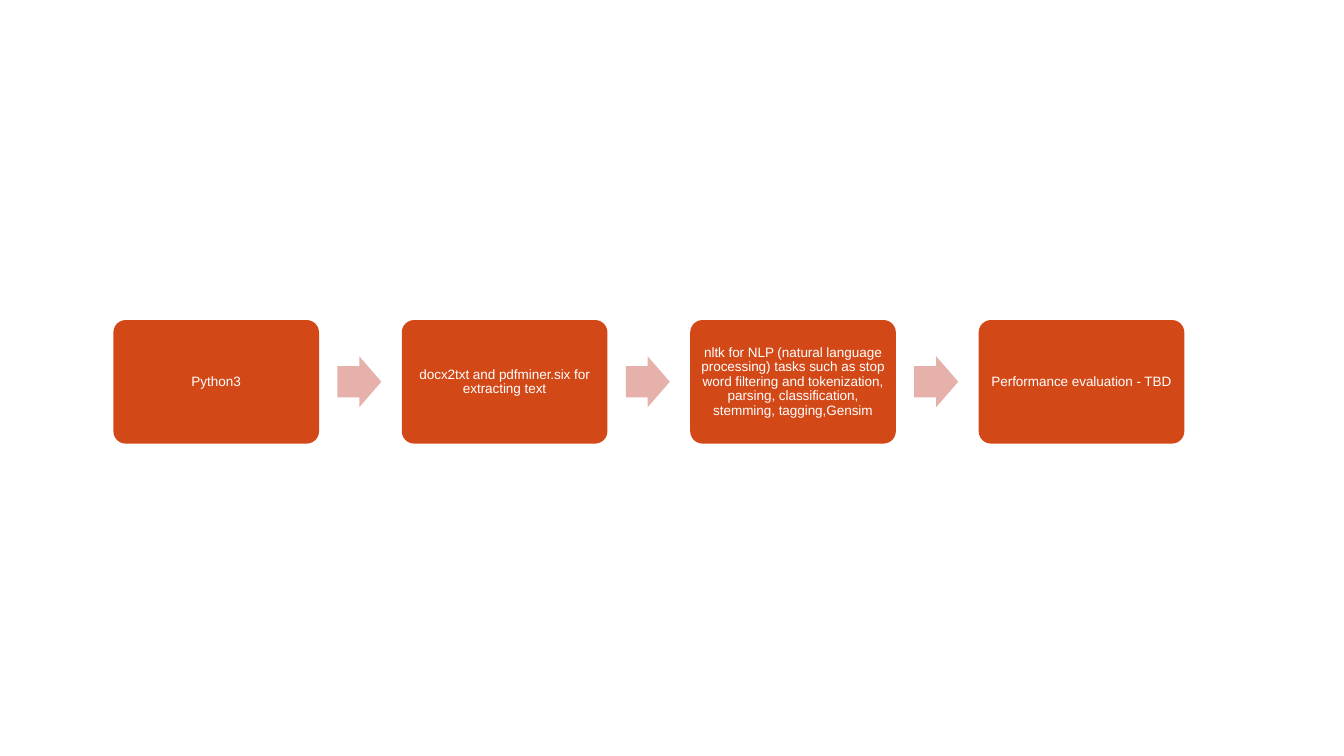
from dataclasses import dataclass

from pptx import Presentation
from pptx.dml.color import RGBColor as RGB
from pptx.enum.shapes import MSO_SHAPE as Shape
from pptx.enum.text import MSO_ANCHOR as Anchor, PP_ALIGN as Align
from pptx.util import Pt


@dataclass(frozen=True)
class Theme:
    box: str = "D34817"
    arrow: str = "E6B1AA"
    ink: str = "FFFFFF"
    font: str = "Arial"
    size: float = 8
    lead: float = 8.6
    track: int = -5  # hundredths of a point


def write(frame, text, *, font, size, color, lead, track,
          align=Align.CENTER, inset=3):
    """Put one formatted paragraph into a text frame."""
    frame.word_wrap = True
    frame.vertical_anchor = Anchor.MIDDLE
    frame.margin_left = frame.margin_right = Pt(inset)
    frame.margin_top = frame.margin_bottom = 0
    para = frame.paragraphs[0]
    para.alignment = align
    para.line_spacing = Pt(lead)
    run = para.add_run()
    run.text = text
    run.font.name = font
    run.font.size = Pt(size)
    run.font.color.rgb = RGB.from_string(color)
    run._r.get_or_add_rPr().set("spc", str(track))


class Deck:
    def __init__(self, theme, wide, high):
        self.theme = theme
        self.show = Presentation()
        self.show.slide_width, self.show.slide_height = Pt(wide), Pt(high)
        self.slide = self.show.slides.add_slide(self.show.slide_layouts[6])

    def draw(self, kind, left, top, wide, high, fill, adjust):
        shape = self.slide.shapes.add_shape(
            kind, Pt(left), Pt(top), Pt(wide), Pt(high))
        shape.shadow.inherit = False
        shape.fill.solid()
        shape.fill.fore_color.rgb = RGB.from_string(fill)
        shape.line.fill.background()
        for i, value in enumerate(adjust):
            shape.adjustments[i] = value
        return shape

    def box(self, text, *place):
        look = self.theme
        shape = self.draw(Shape.ROUNDED_RECTANGLE, *place, look.box, [0.1])
        write(shape.text_frame, text, font=look.font, size=look.size,
              color=look.ink, lead=look.lead, track=look.track)

    def arrow(self, *place):
        self.draw(Shape.RIGHT_ARROW, *place, self.theme.arrow, [0.62, 0.5])


STEPS = [
    "Python3",
    "docx2txt and pdfminer.six for extracting text",
    "nltk for NLP (natural language processing) tasks such as stop word "
    "filtering and tokenization, parsing, classification, stemming, "
    "tagging,Gensim",
    "Performance evaluation - TBD",
]

# Row of boxes: first left edge, distance between steps, middle line
LEFT, PITCH, MID = 67, 170.4, 225.5
BOX_W, BOX_H = 121.5, 73
ARROW_W, ARROW_H, GAP = 26, 30, 10.8


def main():
    deck = Deck(Theme(), 794, 446.5)

    # Steps, with an arrow after each but the last
    for i, text in enumerate(STEPS):
        left = LEFT + i * PITCH
        deck.box(text, left, MID - BOX_H / 2, BOX_W, BOX_H)
        if i < len(STEPS) - 1:
            deck.arrow(left + BOX_W + GAP, MID - ARROW_H / 2, ARROW_W, ARROW_H)

    deck.show.save("out.pptx")


if __name__ == "__main__":
    main()
